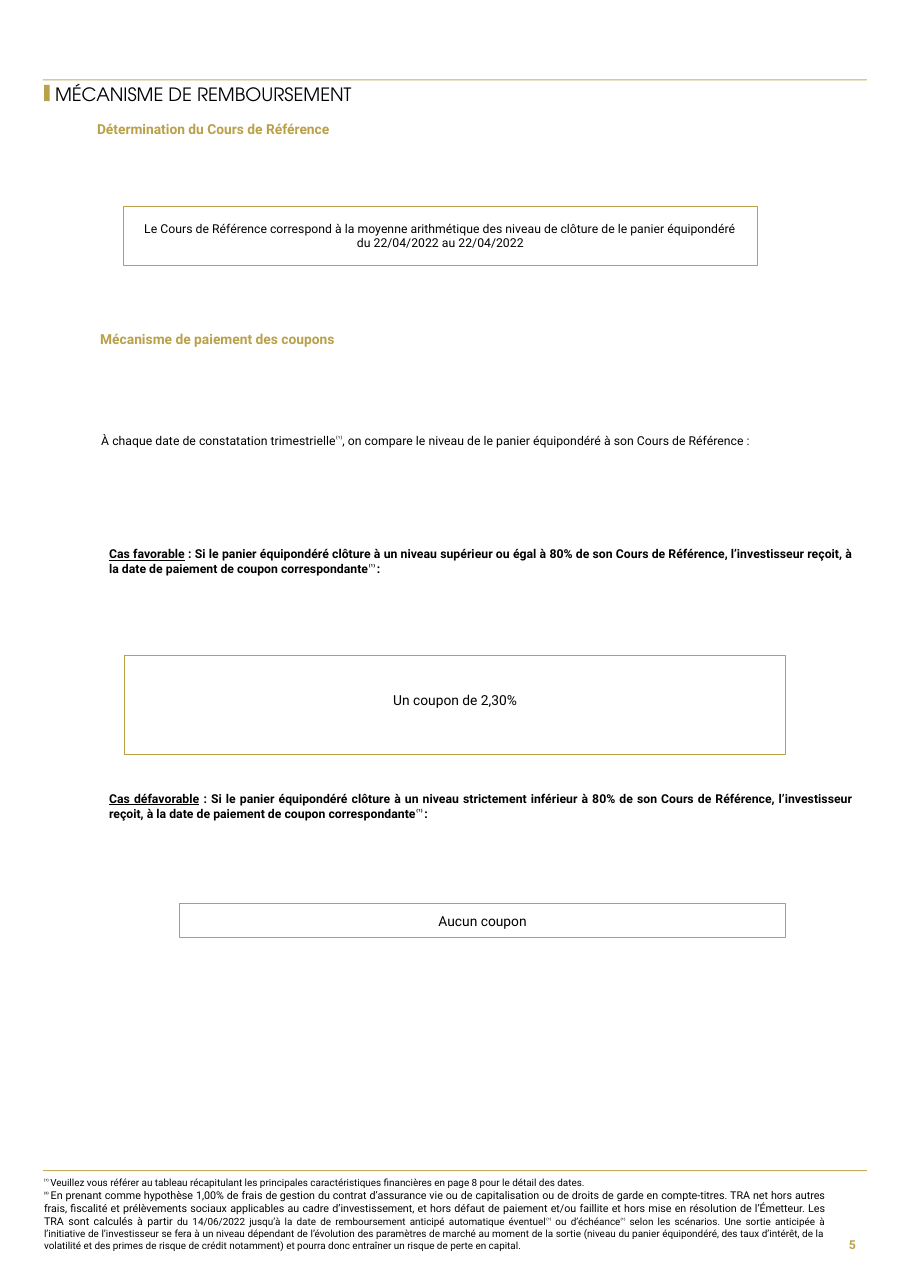
from pptx import Presentation
from pptx.dml.color import RGBColor
from pptx.enum.shapes import MSO_SHAPE
from pptx.enum.text import MSO_ANCHOR, PP_ALIGN
from pptx.util import Pt

RECT = MSO_SHAPE.RECTANGLE
TOP, MIDDLE = MSO_ANCHOR.TOP, MSO_ANCHOR.MIDDLE
LEFT, CENTER = PP_ALIGN.LEFT, PP_ALIGN.CENTER
RIGHT, JUSTIFY = PP_ALIGN.RIGHT, PP_ALIGN.JUSTIFY
GOLD = RGBColor(0xB9, 0xA0, 0x49)
PALE = RGBColor(0xC5, 0xAF, 0x5C)
BLACK = RGBColor(0, 0, 0)
WHITE = RGBColor(255, 255, 255)

# Text formats
BODY = {"name": "Roboto", "size": Pt(8), "color": BLACK}
BOLD = {**BODY, "bold": True}
HEAD = {**BOLD, "size": Pt(9), "color": GOLD}
PAGE = {**BOLD, "color": GOLD}
LARGE = {**BODY, "size": Pt(9)}
NOTE = {**BODY, "size": Pt(6.5)}
TITLE = {"name": "TeX Gyre Adventor", "size": Pt(12), "color": BLACK}
UNDER = {"underline": True}
SUPER = {"raised": True}
WIDER = {"size": Pt(7)}

# Each paragraph is a list of runs: (text, changes to the text format)
REF = ("⁽¹⁾", SUPER)
REF_GAP = ("⁽¹⁾ ", SUPER)


def case(name, level):
    return [[
        (name, UNDER),
        (f" : Si le panier équipondéré clôture à un niveau {level} à 80% de son "
         "Cours de Référence, l’investisseur reçoit, à la date de paiement de "
         "coupon correspondante", {}),
        REF_GAP, (":", {})]]


def plain(text):
    return [[(text, {})]]


NOTES = [
    [REF_GAP,
     ("Veuillez vous référer au tableau récapitulant les principales "
      "caractéristiques financières en page 8 pour le détail des dates.", {})],
    [("⁽²⁾ ", SUPER),
     ("En prenant comme hypothèse 1,00% de frais de\u00a0gestion du contrat "
      "d’assurance vie ou de capitalisation ou de droits de garde en "
      "compte-titres. TRA net hors autres frais, fiscalité et prélèvements "
      "sociaux applicables au cadre d’investissement, et hors défaut de paiement "
      "et/ou faillite et hors mise en résolution de l’Émetteur. Les TRA sont "
      "calculés à partir ", WIDER),
     ("du 14/06/2022 jusqu’à la date de remboursement anticipé automatique "
      "éventuel", {}),
     REF, (" ou d’échéance", {}), REF,
     (" selon les scénarios. Une sortie anticipée à l’initiative de "
      "l’investisseur se fera à un niveau dépendant de l’évolution des paramètres "
      "de marché au moment de la sortie (niveau du panier équipondéré, des taux "
      "d’intérêt, de la volatilité et des primes de\u00a0risque de crédit "
      "notamment) et pourra donc entraîner un risque de perte en capital.", {})],
]

# Place (left, top, width, height), format, alignment, anchor, paragraphs
TEXTS = [
    ((36, 52.6, 303, 18), TITLE, LEFT, MIDDLE,
     plain("MÉCANISME DE REMBOURSEMENT")),
    ((63.4, 79.2, 214, 13), HEAD, LEFT, TOP,
     plain("Détermination du Cours de Référence")),
    ((65.5, 216, 473, 12.2), HEAD, LEFT, TOP,
     plain("Mécanisme de paiement des coupons")),
    ((66.2, 283, 473, 9.4), BODY, JUSTIFY, TOP,
     [[("À chaque date de constatation trimestrielle", {}), REF,
       (", on compare le niveau de le panier équipondéré à son Cours de "
        "Référence :", {})]]),
    ((71.3, 357.1, 486.7, 19.4), BOLD, JUSTIFY, TOP,
     case("Cas favorable", "supérieur ou égal")),
    ((71.3, 517, 486.7, 19.4), BOLD, JUSTIFY, TOP,
     case("Cas défavorable", "strictement inférieur")),
    ((28.8, 769, 510.5, 49), NOTE, JUSTIFY, TOP, NOTES),
    ((538.6, 798.5, 20.9, 30.2), PAGE, RIGHT, MIDDLE, plain("5")),
]

# Place, line width, fill, format, bottom margin, text
FRAMES = [
    ((80.6, 134.6, 414.7, 38.9), 0.5, None, BODY, 0,
     "Le Cours de Référence correspond à la moyenne arithmétique des niveau de "
     "clôture de le panier équipondéré du 22/04/2022 au 22/04/2022"),
    ((81.4, 428.4, 432, 64.8), 0.75, WHITE, LARGE, 7, "Un coupon de 2,30%"),
    ((117.4, 590.4, 396, 22.3), 0.75, WHITE, LARGE, 0, "Aucun coupon"),
]
SIDE = 12

BARS = [
    ((28.1, 51.8, 538.6, 0.72), PALE),
    ((28.1, 764.6, 538.6, 0.72), PALE),
    ((28.8, 55.4, 3.6, 10.8), GOLD),
]


def style(run, form):
    for key, value in form.items():
        if key == "color":
            run.font.color.rgb = value
        elif key == "raised":
            run.font._element.set("baseline", "30000")
        else:
            setattr(run.font, key, value)


def write(shape, paras, form, align, anchor, side=0, bottom=0):
    frame = shape.text_frame
    settings = {"word_wrap": True, "vertical_anchor": anchor,
                "margin_left": Pt(side), "margin_right": Pt(side),
                "margin_top": 0, "margin_bottom": Pt(bottom)}
    for key, value in settings.items():
        setattr(frame, key, value)
    for i, runs in enumerate(paras):
        para = frame.add_paragraph() if i else frame.paragraphs[0]
        para.alignment = align
        for text, change in runs:
            run = para.add_run()
            run.text = text
            style(run, {**form, **change})


def add_rect(place, fill):
    shape = slide.shapes.add_shape(RECT, *map(Pt, place))
    shape.shadow.inherit = False
    if fill is None:
        shape.fill.background()
    else:
        shape.fill.solid()
        shape.fill.fore_color.rgb = fill
    return shape


deck = Presentation()
deck.slide_width, deck.slide_height = Pt(595.44), Pt(841.68)
slide = deck.slides.add_slide(deck.slide_layouts[6])

for place, color in BARS:
    add_rect(place, color).line.fill.background()

for place, form, align, anchor, paras in TEXTS:
    box = slide.shapes.add_textbox(*map(Pt, place))
    write(box, paras, form, align, anchor)

for place, width, fill, form, bottom, text in FRAMES:
    box = add_rect(place, fill)
    box.line.color.rgb = GOLD
    box.line.width = Pt(width)
    write(box, plain(text), form, CENTER, MIDDLE, SIDE, bottom)

deck.save("out.pptx")
